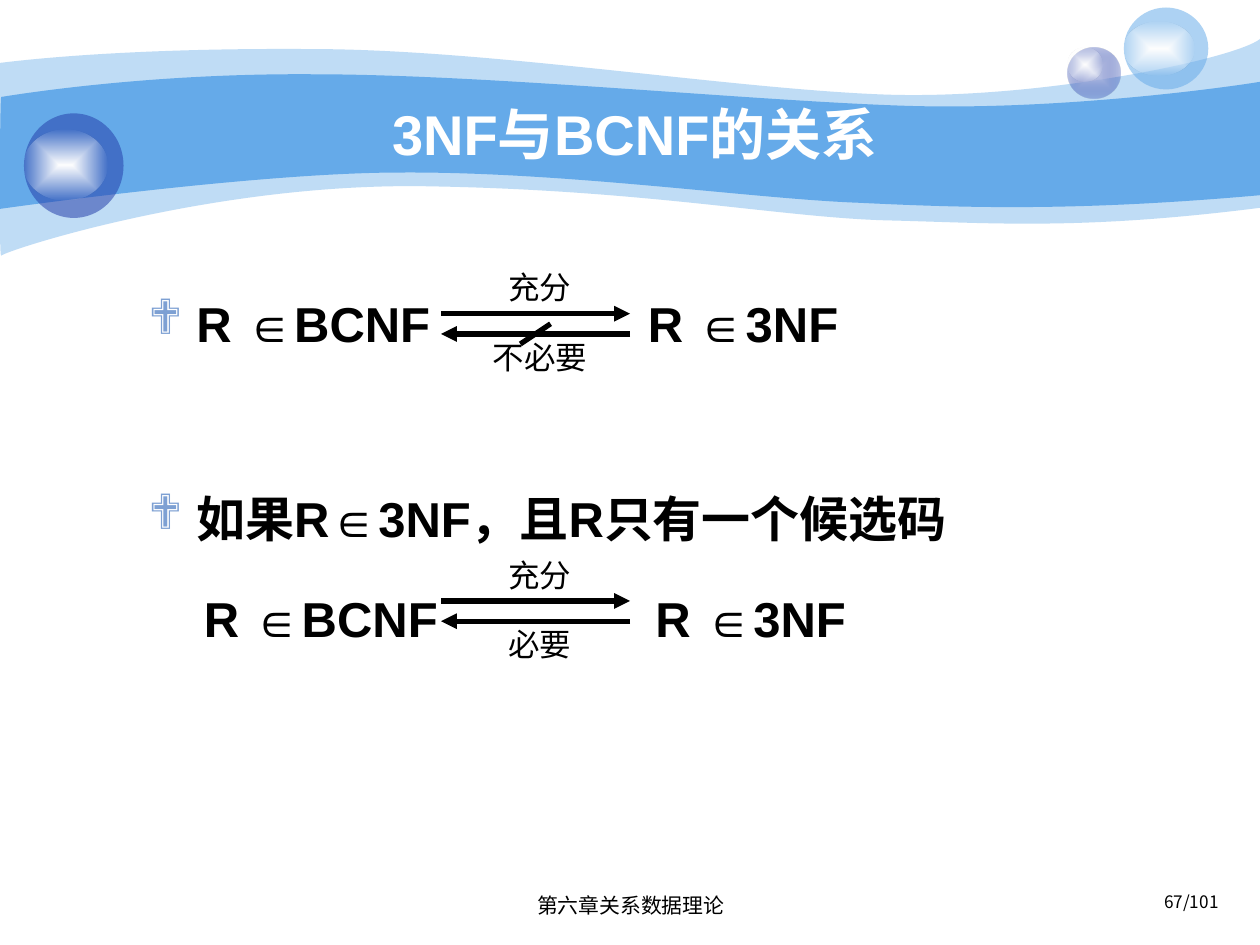
from pptx import Presentation
from pptx.dml.color import RGBColor
from pptx.enum.shapes import MSO_CONNECTOR as Connector, MSO_SHAPE as Shape
from pptx.enum.text import MSO_ANCHOR as Anchor, PP_ALIGN as Align
from pptx.oxml import parse_xml
from pptx.oxml.ns import nsdecls, qn
from pptx.util import Inches, Pt

BLACK = RGBColor(0x00, 0x00, 0x00)
WHITE = RGBColor(0xFF, 0xFF, 0xFF)
SKY = RGBColor(0x65, 0xAA, 0xE9)
NAVY = RGBColor(0x23, 0x3D, 0xA9)
LAVENDER = RGBColor(0xC7, 0xCE, 0xE9)
BULLET = RGBColor(0x7D, 0xA0, 0xD3)

# Wave edges: a start point, then curves of two controls and an end point;
# a single point is a straight edge.
PALE_WAVE = [
    [(0, 0.5)],
    [(0.24, 0.47), (1.07, 0.38), (2.47, 0.39)],
    [(3.86, 0.39), (5.75, 0.7), (6.99, 0.75)],
    [(8.22, 0.8), (9.8, 0.47), (10, 0.31)],
    [(10, 1.65)],
    [(8.58, 1.83), (7.87, 1.77), (7.05, 1.75)],
    [(6.22, 1.73), (5.15, 1.51), (3.43, 1.48)],
    [(1.72, 1.44), (0.04, 1.99), (0.01, 2.03)],
    [(-0.01, 2.08), (0, 0.75), (0, 0.5)],
]
MAIN_WAVE = [
    [(0.01, 0.77)],
    [(0.02, 0.77), (1.1, 0.58), (2.48, 0.59)],
    [(3.86, 0.59), (5.95, 0.8), (7.18, 0.84)],
    [(8.41, 0.88), (9.76, 0.69), (10, 0.65)],
    [(10, 1.55)],
    [(8.53, 1.68), (7.65, 1.65), (6.82, 1.61)],
    [(5.99, 1.58), (4.47, 1.36), (3.17, 1.37)],
    [(2.03, 1.37), (-0.02, 1.66), (-0.01, 1.66)],
    [(0, 1.66), (0, 0.77), (0.01, 0.77)],
]


class SlideBuilder:
    font = "Arial"
    line_width = Pt(3)

    def __init__(self, slide):
        self.slide = slide
        self.shapes = slide.shapes

    def fill(self, shape, color, opacity=100):
        shape.shadow.inherit = False
        shape.line.fill.background()
        shape.fill.solid()
        shape.fill.fore_color.rgb = color
        if opacity < 100:
            tint = shape._element.spPr.find(qn("a:solidFill"))[0]
            tint.append(parse_xml(f'<a:alpha {nsdecls("a")} val="{opacity * 1000}"/>'))

    def wave(self, edges, opacity=100):
        points = [(Inches(x), Inches(y)) for edge in edges for x, y in edge]
        builder = self.shapes.build_freeform(*points[0])
        builder.add_line_segments(points[1:], close=True)
        shape = builder.convert_to_shape()
        # Join the segments of each three-point edge into one Bezier curve
        segments = iter(list(shape._element.iter(qn("a:lnTo"))))
        for edge in edges[1:]:
            parts = [next(segments) for _ in edge]
            if len(parts) == 3:
                curve = parse_xml(f'<a:cubicBezTo {nsdecls("a")}/>')
                parts[0].addprevious(curve)
                for part in parts:
                    curve.append(part[0])
                    part.getparent().remove(part)
        self.fill(shape, SKY, opacity)

    def ellipse(self, box, color, opacity=100):
        shape = self.shapes.add_shape(Shape.OVAL, *map(Inches, box))
        self.fill(shape, color, opacity)
        return shape

    def glow(self, box, inner, outer, outer_opacity):
        """Ellipse shading from its centre to a partly clear rim."""
        shape = self.ellipse(box, inner)
        solid = shape._element.spPr.find(qn("a:solidFill"))
        gradient = parse_xml(
            f'<a:gradFill {nsdecls("a")} rotWithShape="1"><a:gsLst>'
            f'<a:gs pos="0"><a:srgbClr val="{inner}"/></a:gs>'
            f'<a:gs pos="100000"><a:srgbClr val="{outer}">'
            f'<a:alpha val="{outer_opacity * 1000}"/></a:srgbClr></a:gs></a:gsLst>'
            '<a:path path="rect"><a:fillToRect l="50000" t="50000" r="50000" b="50000"/>'
            '</a:path></a:gradFill>')
        solid.getparent().replace(solid, gradient)

    def style(self, run, size, color=BLACK, bold=False, font=None):
        run.font.name = font or self.font
        run.font.size = Pt(size)
        run.font.bold = bold
        run.font.color.rgb = color
        east_asian = f'<a:ea {nsdecls("a")} typeface="{font or self.font}"/>'
        run.font._element.find(qn("a:latin")).addnext(parse_xml(east_asian))

    def text(self, box, words, size, align=Align.LEFT, anchor=Anchor.TOP,
             spacing=1.0, wrap=True, **look):
        frame = self.shapes.add_textbox(*map(Inches, box)).text_frame
        frame.word_wrap = wrap
        frame.vertical_anchor = anchor
        frame.text = words
        paragraph = frame.paragraphs[0]
        paragraph.alignment = align
        paragraph.line_spacing = spacing
        self.style(paragraph.runs[0], size, **look)

    def body(self, box, items, size, gap):
        """Items are (parts, bulleted, left margin, line spacing, space before).

        Two parts of one line stand apart by a single space widened by gap points.
        """
        frame = self.shapes.add_textbox(*map(Inches, box)).text_frame
        frame.word_wrap = True
        frame.text = "\n".join(parts[0] for parts, *_ in items)
        for paragraph, item in zip(frame.paragraphs, items):
            parts, bulleted, margin, spacing, before = item
            paragraph.line_spacing = spacing
            paragraph.space_before = Pt(before)
            props = paragraph._p.get_or_add_pPr()
            props.set("marL", str(Inches(margin)))
            if bulleted:
                props.set("indent", str(-Inches(margin)))
                for mark in (f'<a:buClr {nsdecls("a")}><a:srgbClr val="{BULLET}"/></a:buClr>',
                             f'<a:buFont {nsdecls("a")} typeface="Wingdings"/>',
                             f'<a:buChar {nsdecls("a")} char="❖"/>'):
                    props.append(parse_xml(mark))
            for part in parts[1:]:
                space = paragraph.add_run()
                space.text = " "
                space.font._element.set("spc", str(round(gap * 100)))
                paragraph.add_run().text = part
            for run in paragraph.runs:
                self.style(run, size, bold=True)

    def line(self, start, end, arrow=False):
        connector = self.shapes.add_connector(
            Connector.STRAIGHT, *map(Inches, (*start, *end)))
        connector.line.color.rgb = BLACK
        connector.line.width = self.line_width
        if arrow:
            connector.line._get_or_add_ln().append(
                parse_xml(f'<a:tailEnd {nsdecls("a")} type="triangle"/>'))
        connector._element.spPr.append(parse_xml(f'<a:effectLst {nsdecls("a")}/>'))

    def implication(self, top, forward, backward, negated=False):
        """Arrows both ways, labelled above and below."""
        left, right = 3.5, 5
        self.line((left, top), (right, top), arrow=True)
        self.line((right, top + 0.16), (left, top + 0.16), arrow=True)
        if negated:
            self.line((4.37, top + 0.08), (4.13, top + 0.24))
        for label, offset in ((forward, -0.31), (backward, 0.24)):
            self.text((left, top + offset, 1.57, 0.24), label, 18, Align.CENTER,
                      Anchor.MIDDLE, spacing=0.9, wrap=False)


def main():
    deck = Presentation()
    deck.slide_width, deck.slide_height = Inches(10), Inches(7.5)
    page = SlideBuilder(deck.slides.add_slide(deck.slide_layouts[6]))

    # Banner waves
    page.wave(PALE_WAVE, opacity=41)
    page.wave(MAIN_WAVE)

    # Glass spheres
    page.glow((8.47, 0.38, 0.42, 0.4), LAVENDER, NAVY, 31)
    page.glow((8.47, 0.38, 0.28, 0.27), WHITE, WHITE, 0)
    page.ellipse((8.92, 0.06, 0.67, 0.65), SKY, 53)
    page.glow((8.92, 0.17, 0.56, 0.43), WHITE, WHITE, 0)
    page.ellipse((0.19, 0.9, 0.79, 0.83), NAVY, 53)
    page.glow((0.19, 1.03, 0.66, 0.56), WHITE, WHITE, 0)

    # Footer
    page.text((7.44, 7.06, 2.33, 0.29), "67/101", 9.8, Align.RIGHT,
              spacing=0.8, font="Noto Sans CJK SC")
    page.text((3.42, 7.06, 3.17, 0.32), "第六章关系数据理论", 11.9, Align.CENTER,
              spacing=0.9)

    # Title
    page.text((1, 0.75, 8.08, 0.62), "3NF与BCNF的关系", 32, Align.CENTER,
              Anchor.MIDDLE, color=WHITE, bold=True)

    # Statements
    relation = ("R ∈BCNF", "R ∈3NF")
    page.body((1.08, 2.09, 8.5, 4.5), [
        (relation, True, 0.38, 1.4, 0),
        (("如果R∈3NF，且R只有一个候选码",), True, 0.38, 1.5, 61),
        (relation, False, 0.44, 1.5, 7),
    ], size=28, gap=116.7)

    # Implications
    page.implication(2.49, "充分", "不必要", negated=True)
    page.implication(4.77, "充分", "必要")

    deck.save("out.pptx")


if __name__ == "__main__":
    main()
